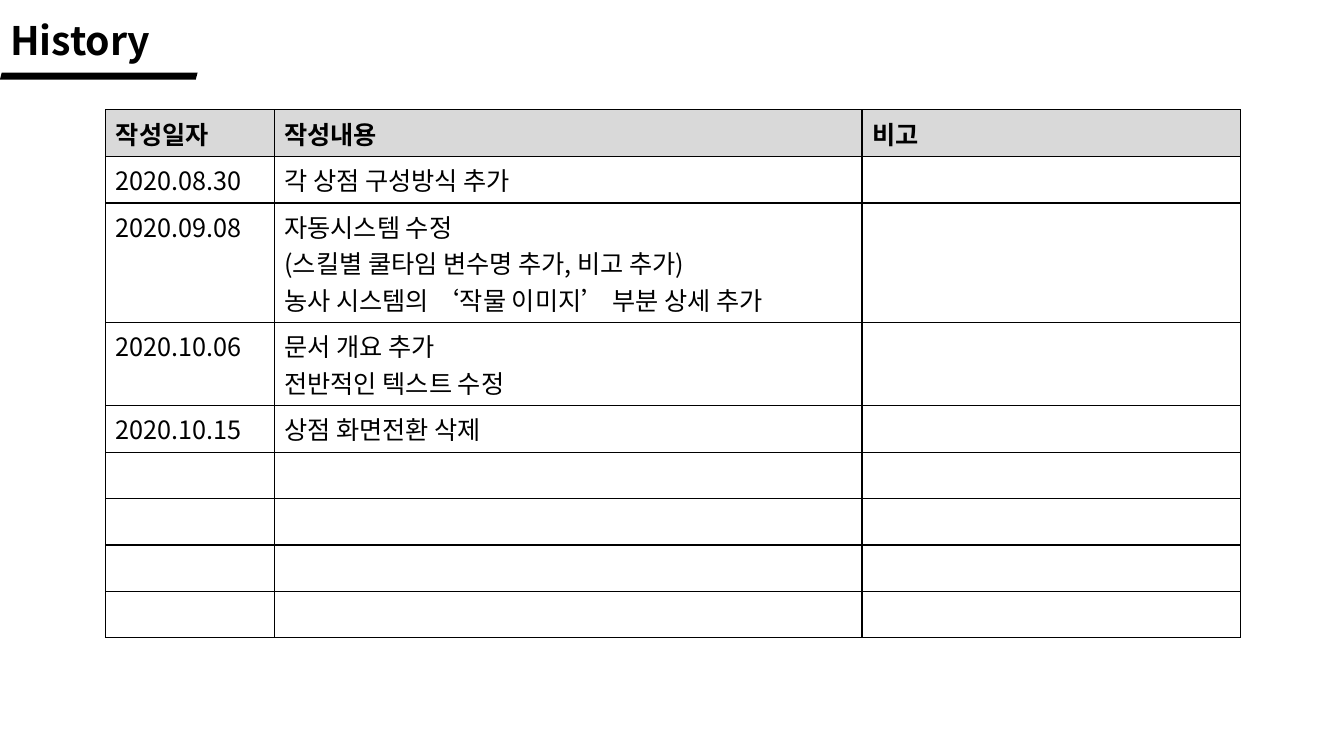
import pptx
import pptx.util
import pptx.dml.color
import pptx.enum.shapes
import pptx.enum.text
import pptx.oxml
from lxml import etree
from pptx.util import Inches

FONT = "Noto Sans CJK KR"
NS = "http://schemas.openxmlformats.org/drawingml/2006/main"


def rgb(value):
    return pptx.dml.color.RGBColor.from_string(value)


def write(tf, text, size=18, bold=False, color="000000"):
    for i, line in enumerate(text.split("\n")):
        p = tf.paragraphs[0] if i == 0 else tf.add_paragraph()
        p.alignment = pptx.enum.text.PP_ALIGN.LEFT
        r = p.add_run()
        r.text = line
        r.font.name = FONT
        r.font.size = pptx.util.Pt(size)
        r.font.bold = bold
        r.font.color.rgb = rgb(color)
        etree.SubElement(r.font._element, f"{{{NS}}}ea", typeface=FONT)


prs = pptx.Presentation()
prs.slide_width = Inches(13.33)
prs.slide_height = Inches(7.5)
s = prs.slides.add_slide(prs.slide_layouts[5])

rows = [
    ("작성일자", "작성내용", "비고"),
    ("2020.08.30", "각 상점 구성방식 추가", ""),
    ("2020.09.08", "자동시스템 수정\n(스킬별 쿨타임 변수명 추가, 비고 추가)\n농사 시스템의 ‘작물 이미지’ 부분 상세 추가", ""),
    ("2020.10.06", "문서 개요 추가\n전반적인 텍스트 수정", ""),
    ("2020.10.15", "상점 화면전환 삭제", ""),
] + [("", "", "")] * 4
widths = [1.67, 5.83, 3.75]
heights = [0.1 + 0.36 * (row[1].count("\n") + 1) for row in rows]

table = s.shapes.add_table(
    len(rows), len(widths), Inches(1.05), Inches(1.09), Inches(sum(widths)), Inches(sum(heights))
).table
for column, width in zip(table.columns, widths):
    column.width = Inches(width)

for i, row in enumerate(rows):
    table.rows[i].height = Inches(heights[i])
    for j, text in enumerate(row):
        cell = table.cell(i, j)
        tcPr = cell._tc.get_or_add_tcPr()
        for side in "LRTB":
            tcPr.append(pptx.oxml.parse_xml(
                f'<a:ln{side} xmlns:a="{NS}" w="12700"><a:solidFill>'
                f'<a:srgbClr val="000000"/></a:solidFill></a:ln{side}>'
            ))
        cell.fill.solid()
        cell.fill.fore_color.rgb = rgb("D9D9D9" if i == 0 else "FFFFFF")
        if text:
            write(cell.text_frame, text, bold=i == 0)
        else:
            cell.text_frame.paragraphs[0].font.size = pptx.util.Pt(18)

title = s.shapes.title
title.left, title.top = Inches(0), Inches(0.11)
title.width, title.height = Inches(2.09), Inches(0.57)
tf = title.text_frame
tf.word_wrap = True
tf.auto_size = pptx.enum.text.MSO_AUTO_SIZE.NONE
tf.vertical_anchor = pptx.enum.text.MSO_ANCHOR.MIDDLE
write(tf, "History", size=28, bold=True)

bar = s.shapes.add_shape(
    pptx.enum.shapes.MSO_SHAPE.PARALLELOGRAM, Inches(0), Inches(0.72), Inches(1.96), Inches(0.07)
)
bar.shadow.inherit = False
bar.fill.solid()
bar.fill.fore_color.rgb = rgb("000000")
bar.line.fill.background()

prs.save("out.pptx")
